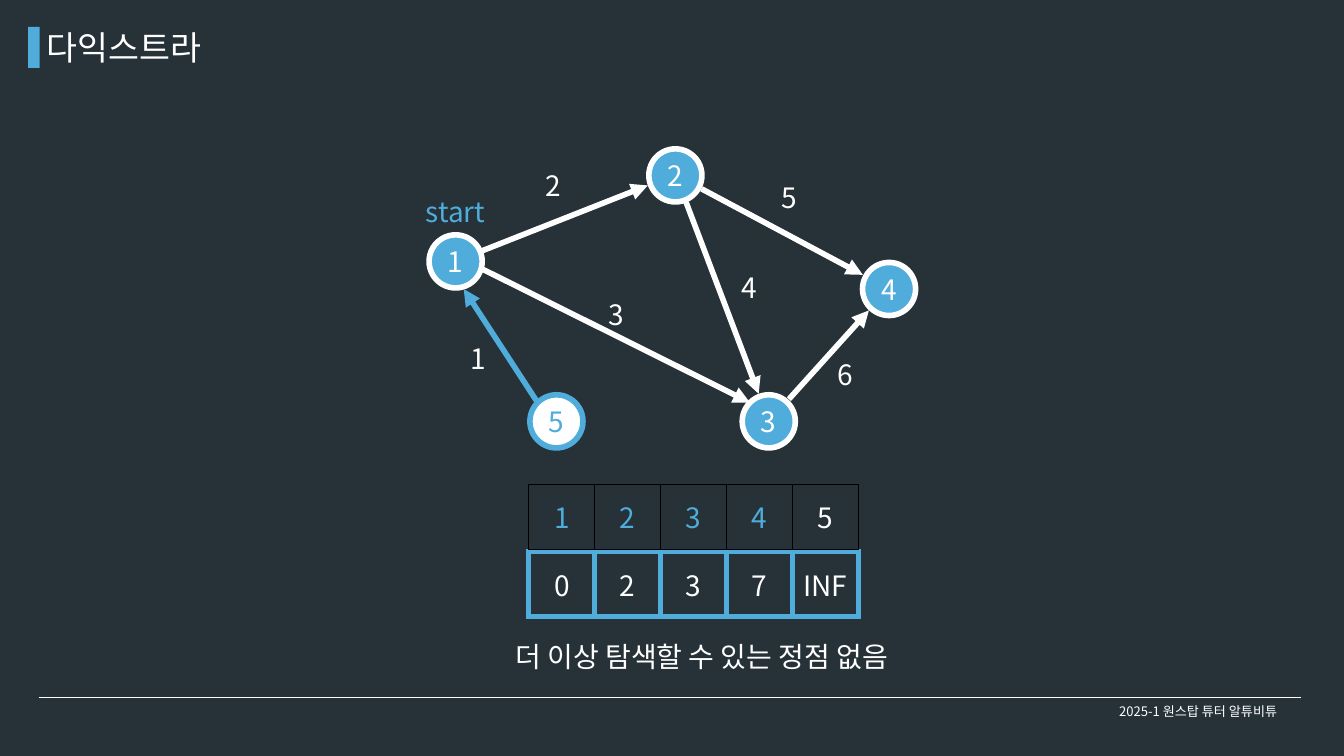
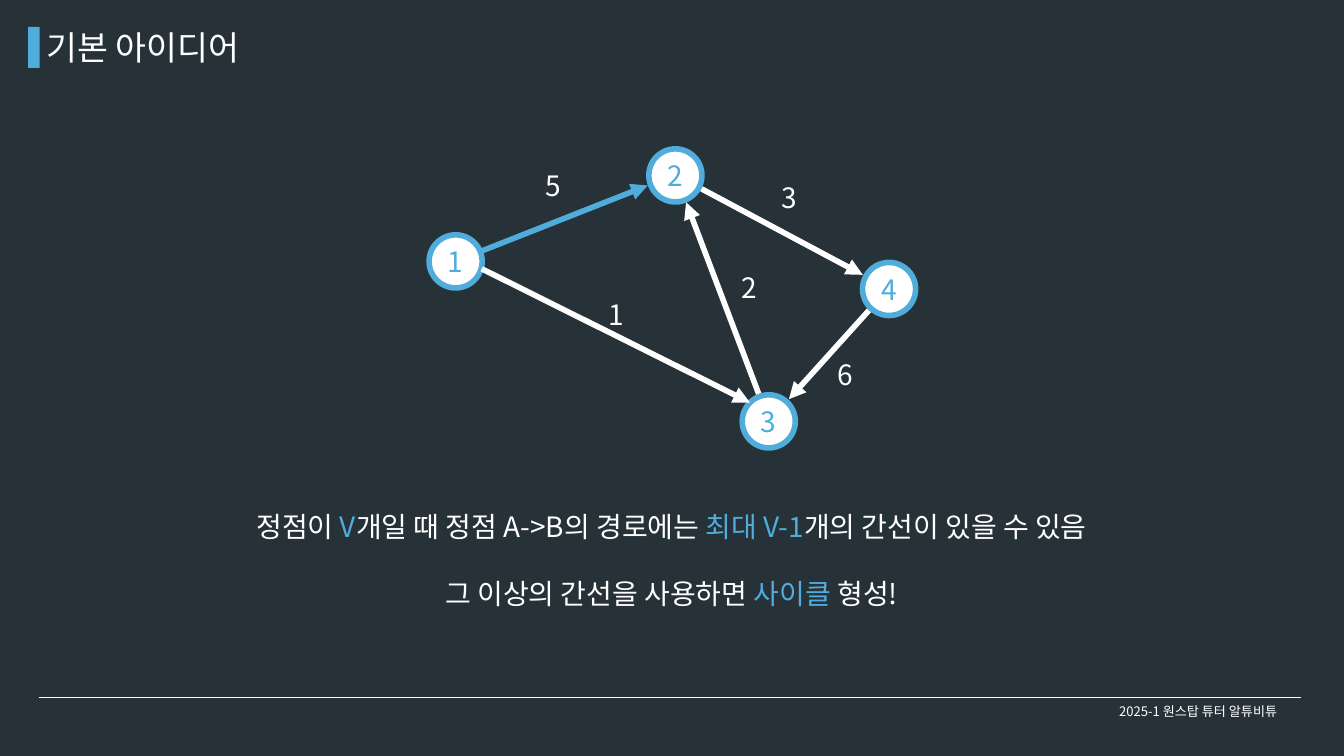
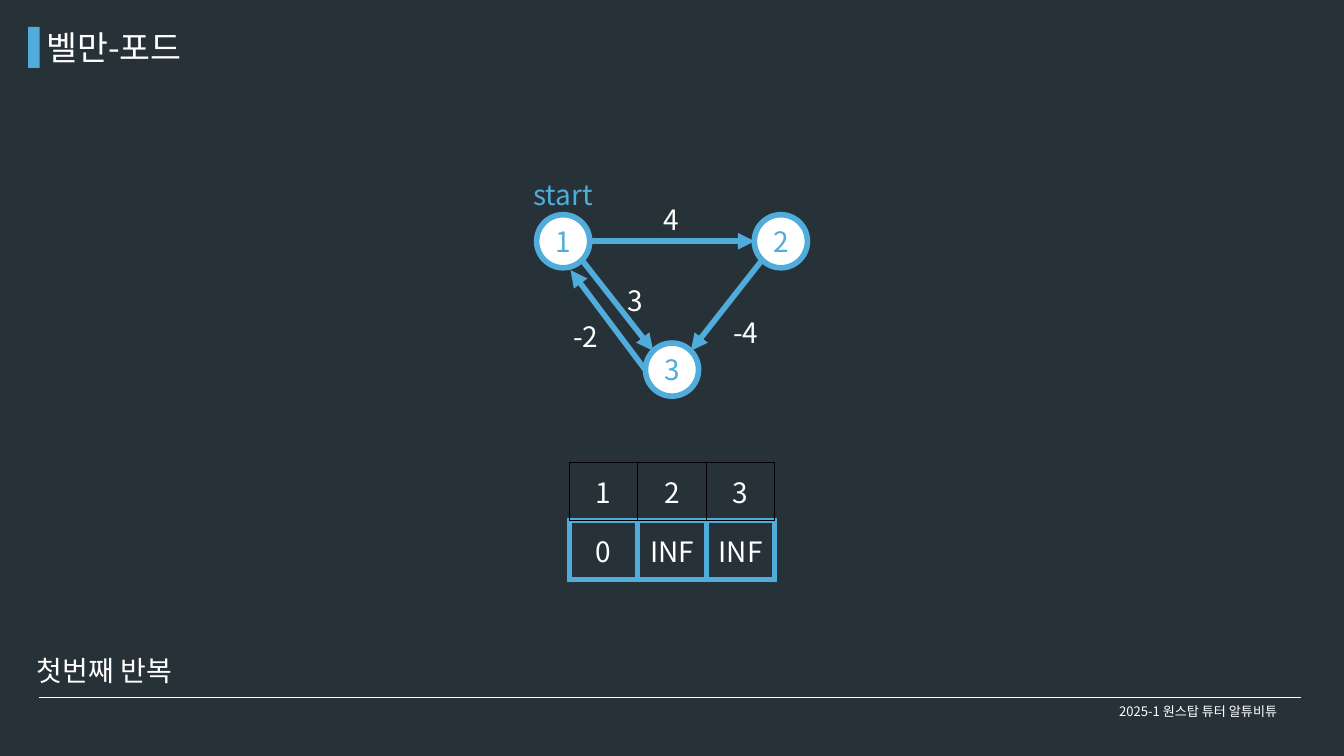
from lxml import etree
from pptx import Presentation
from pptx import util as u
from pptx.dml.color import RGBColor
from pptx.enum import shapes, text
from pptx.oxml import ns

COLORS = {"night": "263238", "white": "FFFFFF", "sky": "4FACDB", "black": "000000"}
FONT = "Noto Sans CJK KR"
PAD = u.Inches(0.05)
NODE = 0.79
LABEL_H = 0.57
STROKE = 6
LEFT, CENTER = text.PP_ALIGN.LEFT, text.PP_ALIGN.CENTER
TOP, MIDDLE = text.MSO_ANCHOR.TOP, text.MSO_ANCHOR.MIDDLE

deck = Presentation()
deck.slide_width, deck.slide_height = u.Inches(20), u.Inches(11.25)
UNIT = deck.slide_width / 20  # the slide is a grid of 20 columns by 11.25 rows


def grid(*lengths):
    """Turn columns and rows of the grid into slide units."""
    return [round(length * UNIT) for length in lengths]


def write(frame, *paragraphs, size=30, color="white", align=LEFT, anchor=TOP,
          wrap=True, gap=0):
    """Fill a text frame; a paragraph is a string or a list of (string, color)."""
    frame.word_wrap, frame.vertical_anchor = wrap, anchor
    frame.auto_size = text.MSO_AUTO_SIZE.NONE
    frame.margin_left = frame.margin_right = frame.margin_top = frame.margin_bottom = PAD
    for i, content in enumerate(paragraphs):
        line = frame.add_paragraph() if i else frame.paragraphs[0]
        line.alignment = align
        line.space_before = u.Pt(gap if i else 0)
        for words, tint in [(content, color)] if isinstance(content, str) else content:
            run = line.add_run()
            run.text = words
            run.font.size, run.font.name = u.Pt(size), FONT
            run.font.color.rgb = RGBColor.from_string(COLORS[tint])
            etree.SubElement(run.font._element, ns.qn("a:ea"), typeface=FONT)


# Routes of the large graph, shared by the first two slides
centers = {"1": (6.78, 3.89), "2": (10.05, 2.61), "3": (11.44, 6.27), "4": (13.23, 4.3)}
one_two = (7.18, 3.73), (9.64, 2.76)
one_three = (7.17, 4), (11.16, 5.99)
two_three = (10.21, 3.01), (11.29, 5.86)
two_four = (10.44, 2.81), (12.84, 4.09)
three_four = (11.74, 5.94), (12.93, 4.62)
weight_spots = [(8.07, 2.46), (9, 4.38), (10.99, 3.98), (11.58, 2.64), (12.42, 5.27)]

# Content: edges are (start, end, color), tables are (left, top, column, row, cells)
pages = [
    dict(
        title="다익스트라",
        nodes=centers | {"5": (8.28, 6.27)},
        visited="1234",
        edges=[(*route, "white") for route in
               (one_two, one_three, two_three, two_four, three_four)]
        + [((8, 5.99), (6.9, 4.3), "sky")],
        weights=list(zip("23456", weight_spots)) + [("1", (6.95, 5.03))],
        start_top=2.84,
        distances=(7.87, 8.21, 0.98, 0.96, ["0", "2", "3", "7", "INF"]),
        vertices=(7.87, 7.21, 0.98, 0.96, "12345"),
        note=((6.54, 9.47, 7.81, LABEL_H), ["더 이상 탐색할 수 있는 정점 없음"], CENTER),
    ),
    dict(
        title="기본 아이디어",
        nodes=centers,
        visited="",
        edges=[(*one_two, "sky")]
        + [(*route, "white") for route in
           (one_three, two_three[::-1], two_four, three_four[::-1])],
        weights=list(zip("51236", weight_spots)),
        note=((2.71, 7.53, 14.57, 1.55), [
            [("정점이 ", "white"), ("V", "sky"), ("개일 때 정점 A->B의 경로에는 ", "white"),
             ("최대 V-1", "sky"), ("개의 간선이 있을 수 있음", "white")],
            [("그 이상의 간선을 사용하면 ", "white"), ("사이클", "sky"), (" 형성!", "white")],
        ], CENTER),
    ),
    dict(
        title="벨만-포드",
        nodes={"1": (8.38, 3.59), "2": (11.62, 3.59), "3": (10, 5.5)},
        visited="",
        edges=[((8.77, 3.59), (11.23, 3.59), "sky"), ((8.66, 3.87), (9.72, 5.22), "sky"),
               ((11.34, 3.87), (10.28, 5.22), "sky"), ((9.6, 5.5), (8.49, 4.02), "sky")],
        weights=[("4", (9.82, 2.96)), ("3", (9.29, 4.17)),
                 ("-2", (8.48, 4.7)), ("-4", (10.86, 4.64))],
        start_top=2.59,
        distances=(8.47, 7.75, 1.02, 0.87, ["0", "INF", "INF"]),
        vertices=(8.47, 6.88, 1.02, 0.87, "123"),
        note=((0.5, 9.67, 2.11, LABEL_H), ["첫번째 반복"], LEFT),
    ),
]

# Shared background and title position
background = deck.slide_master.background.fill
background.solid()
background.fore_color.rgb = RGBColor.from_string(COLORS["night"])
layout = deck.slide_layouts[5]
heading = layout.placeholders[0]
heading.left, heading.top, heading.width, heading.height = grid(0.64, 0.35, 9.4, 0.65)

for page in pages:
    slide = deck.slides.add_slide(layout)
    canvas = slide.shapes

    # Title with its accent bar, and the footer
    bar = canvas.add_shape(shapes.MSO_SHAPE.RECTANGLE, *grid(0.42, 0.4, 0.17, 0.61))
    bar.shadow.inherit = False
    bar.fill.solid()
    bar.fill.fore_color.rgb = RGBColor.from_string(COLORS["sky"])
    bar.line.fill.background()
    write(canvas.title.text_frame, page["title"], size=36)
    footer = canvas.add_textbox(*grid(15.88, 10.43, 3.9, 0.32))
    write(footer.text_frame, "2025-1 원스탑 튜터 알튜비튜", size=14, align=CENTER, anchor=MIDDLE)

    # Distance table, then the vertex numbers above it
    for part, border, thickness in [("distances", "sky", STROKE), ("vertices", "black", 1)]:
        if part not in page:
            continue
        left, top, column, row, values = page[part]
        table = canvas.add_table(1, len(values),
                                 *grid(left, top, column * len(values), row)).table
        table.first_row = table.horz_banding = False
        table.rows[0].height = grid(row)[0]
        for i, value in enumerate(values):
            table.columns[i].width = grid(column)[0]
            cell = table.cell(0, i)
            reached = part == "vertices" and value in page["visited"]
            write(cell.text_frame, value, color="sky" if reached else "white", align=CENTER)
            cell.vertical_anchor = MIDDLE
            cell.margin_left = cell.margin_right = cell.margin_top = cell.margin_bottom = PAD
            cell.fill.background()
            for position, side in enumerate(["lnL", "lnR", "lnT", "lnB"]):
                edge = etree.Element(ns.qn(f"a:{side}"), w=str(u.Pt(thickness)))
                paint = etree.SubElement(edge, ns.qn("a:solidFill"))
                etree.SubElement(paint, ns.qn("a:srgbClr"), val=COLORS[border])
                cell._tc.get_or_add_tcPr().insert(position, edge)

    # Explanation
    area, lines, align = page["note"]
    write(canvas.add_textbox(*grid(*area)).text_frame, *lines, align=align, gap=36,
          wrap=align == CENTER)

    # Graph nodes
    for name, (x, y) in page["nodes"].items():
        inside, outside = ("sky", "white") if name in page["visited"] else ("white", "sky")
        node = canvas.add_shape(shapes.MSO_SHAPE.OVAL,
                                *grid(x - NODE / 2, y - NODE / 2, NODE, NODE))
        node.shadow.inherit = False
        node.fill.solid()
        node.fill.fore_color.rgb = RGBColor.from_string(COLORS[inside])
        node.line.color.rgb = RGBColor.from_string(COLORS[outside])
        node.line.width = u.Pt(STROKE)
        write(node.text_frame, name, color=outside, align=CENTER, anchor=MIDDLE, wrap=False)

    # Footer rule and graph edges
    rule = ((0.58, 10.38), (19.36, 10.38), "white")
    for route in [rule] + page["edges"]:
        begin, end, color = route
        link = canvas.add_connector(shapes.MSO_CONNECTOR.STRAIGHT, *grid(*begin, *end))
        link.line.color.rgb = RGBColor.from_string(COLORS[color])
        link.line.width = u.Pt(0.75 if route is rule else STROKE)
        if route is not rule:
            etree.SubElement(link.line._get_or_add_ln(), ns.qn("a:tailEnd"), type="triangle")
        etree.SubElement(link._element.spPr, ns.qn("a:effectLst"))

    # Edge weights and the start mark over node 1
    for weight, (x, y) in page["weights"]:
        width = 0.2 + 0.17 * len(weight)
        label = canvas.add_textbox(*grid(x, y, width, LABEL_H))
        write(label.text_frame, weight, wrap=False)
    if "start_top" in page:
        x = page["nodes"]["1"][0]
        start = canvas.add_textbox(*grid(x - 0.9, page["start_top"], 1.8, LABEL_H))
        write(start.text_frame, "start", color="sky", align=CENTER)

deck.save("out.pptx")
